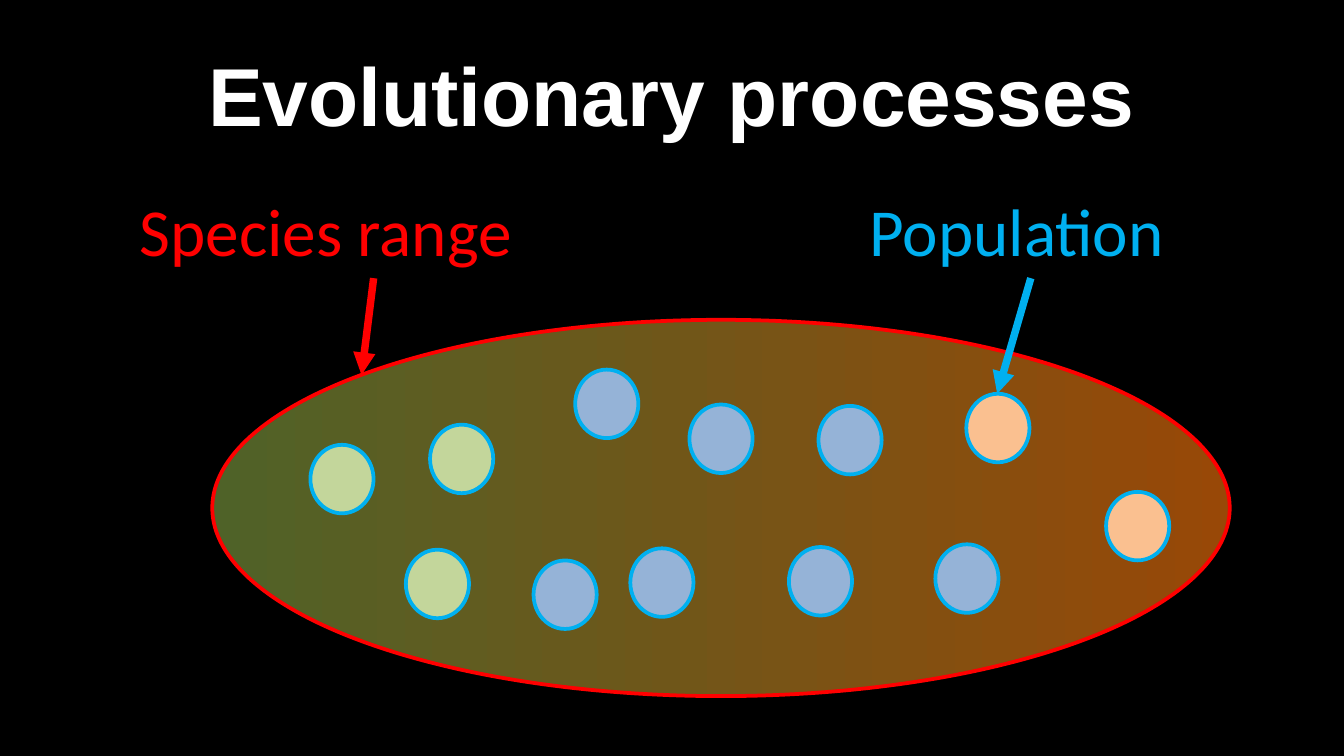
from lxml.etree import SubElement
from pptx import Presentation
from pptx.dml.color import RGBColor
from pptx.enum.shapes import MSO_CONNECTOR, MSO_SHAPE
from pptx.enum.text import MSO_ANCHOR, PP_ALIGN
from pptx.oxml.ns import qn
from pptx.util import Inches, Pt

COLOURS = {
    "background": "000000",
    "title": "FFFFFF",
    "range": "FF0000",
    "population": "00B0F0",
    "range_start": "4F6228",
    "range_end": "984807",
    "green": "C3D69B",
    "blue": "95B3D7",
    "orange": "FAC090",
}

POPULATIONS = {
    "green": [(2.31, 3.31), (3.02, 4.09), (3.2, 3.16)],
    "blue": [(4.69, 4.08), (5.13, 3.01), (5.87, 4.07), (6.09, 3.02),
             (4.28, 2.75), (3.97, 4.17), (6.96, 4.05)],
    "orange": [(8.23, 3.66), (7.19, 2.93)],
}


def colour(name):
    return RGBColor.from_string(COLOURS[name])


class RangeSlide:
    """Holds the slide and draws its labels, ellipses and arrows in one style."""

    def __init__(self, presentation):
        self.slide = presentation.slides.add_slide(presentation.slide_layouts[6])
        background = self.slide.background.fill
        background.solid()
        background.fore_color.rgb = colour("background")

    def text(self, box, words, colour_name, size=36, font="Calibri", bold=False,
             align=PP_ALIGN.LEFT, anchor=MSO_ANCHOR.TOP):
        shape = self.slide.shapes.add_textbox(*map(Inches, box))
        frame = shape.text_frame
        frame.word_wrap = True
        frame.vertical_anchor = anchor
        paragraph = frame.paragraphs[0]
        paragraph.text = words
        paragraph.alignment = align
        paragraph.font.name = font
        paragraph.font.size = Pt(size)
        paragraph.font.bold = bold
        paragraph.font.color.rgb = colour(colour_name)
        return shape

    def ellipse(self, box, line_name, *fill_names):
        shape = self.slide.shapes.add_shape(MSO_SHAPE.OVAL, *map(Inches, box))
        shape.shadow.inherit = False
        shape.line.color.rgb = colour(line_name)
        shape.line.width = Pt(2)
        if len(fill_names) == 1:
            shape.fill.solid()
            shape.fill.fore_color.rgb = colour(fill_names[0])
        else:
            shape.fill.gradient()
            shape.fill.gradient_angle = 0
            for stop, name in zip(shape.fill.gradient_stops, fill_names):
                stop.color.rgb = colour(name)
        return shape

    def arrow(self, label, target, site, end, colour_name):
        connector = self.slide.shapes.add_connector(MSO_CONNECTOR.STRAIGHT, 0, 0, 0, 0)
        connector.begin_connect(label, 2)
        connector.end_connect(target, site)
        connector.end_x, connector.end_y = map(Inches, end)
        connector.line.color.rgb = colour(colour_name)
        connector.line.width = Pt(4)
        SubElement(connector.line._get_or_add_ln(), qn("a:tailEnd"), type="triangle")
        SubElement(connector._element.spPr, qn("a:effectLst"))


def main():
    presentation = Presentation()
    presentation.slide_width = Inches(10)
    presentation.slide_height = Inches(10 * 9 / 16)
    slide = RangeSlide(presentation)

    slide.text((0.5, 0.23, 9, 0.94), "Evolutionary processes", "title", size=44,
               font="Arial", bold=True, align=PP_ALIGN.CENTER, anchor=MSO_ANCHOR.MIDDLE)
    range_label = slide.text((0.94, 1.36, 3.68, 0.71), "Species range", "range")
    population_label = slide.text((6.37, 1.36, 2.6, 0.71), "Population", "population")

    species_range = slide.ellipse((1.58, 2.38, 7.57, 2.8), "range",
                                  "range_start", "range_end")
    for fill_name, corners in POPULATIONS.items():
        for left, top in corners:
            population = slide.ellipse((left, top, 0.47, 0.51), "population", fill_name)

    slide.arrow(range_label, species_range, 1, (2.69, 2.79), "range")
    slide.arrow(population_label, population, 0, (7.42, 2.93), "population")
    presentation.save("out.pptx")


if __name__ == "__main__":
    main()
